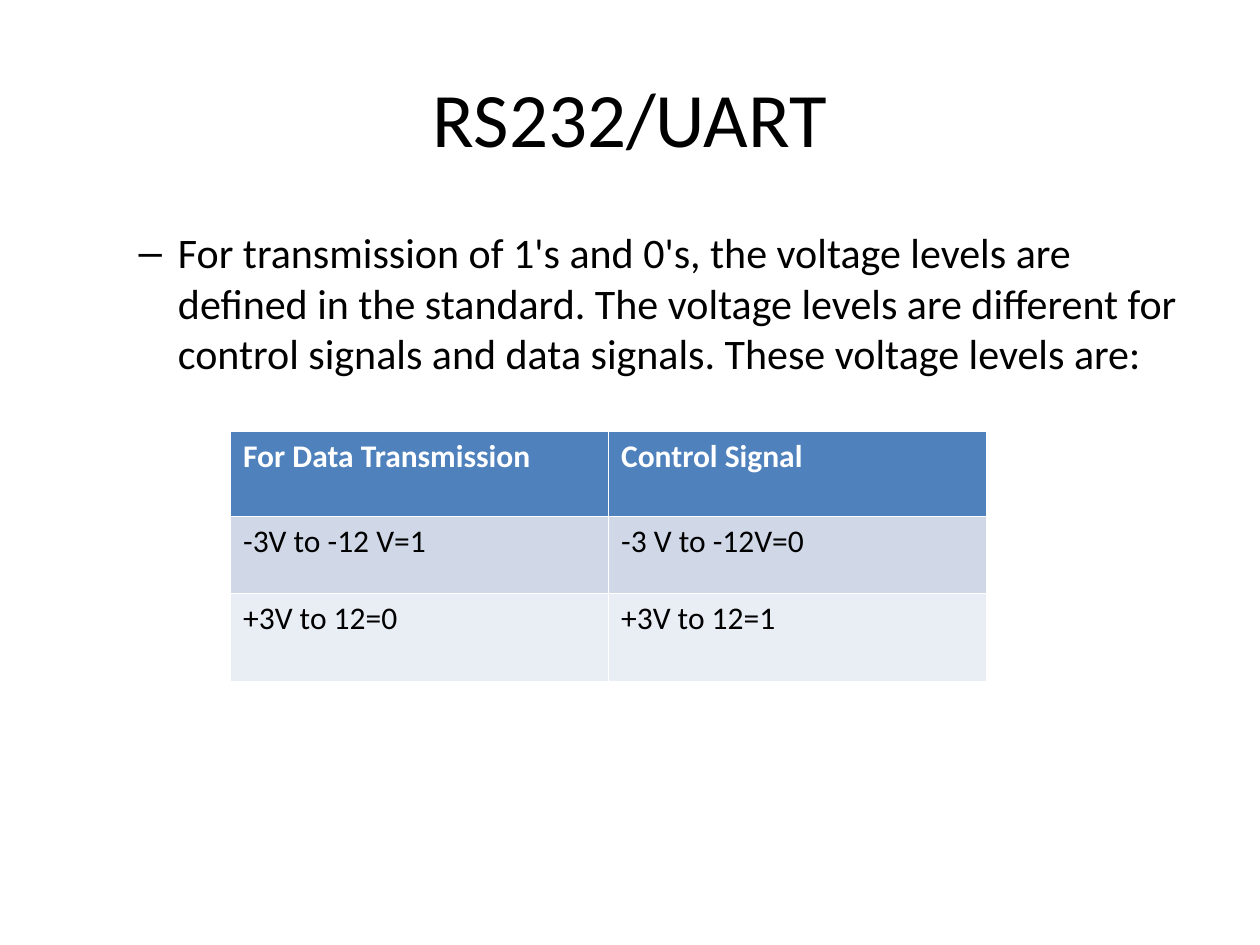
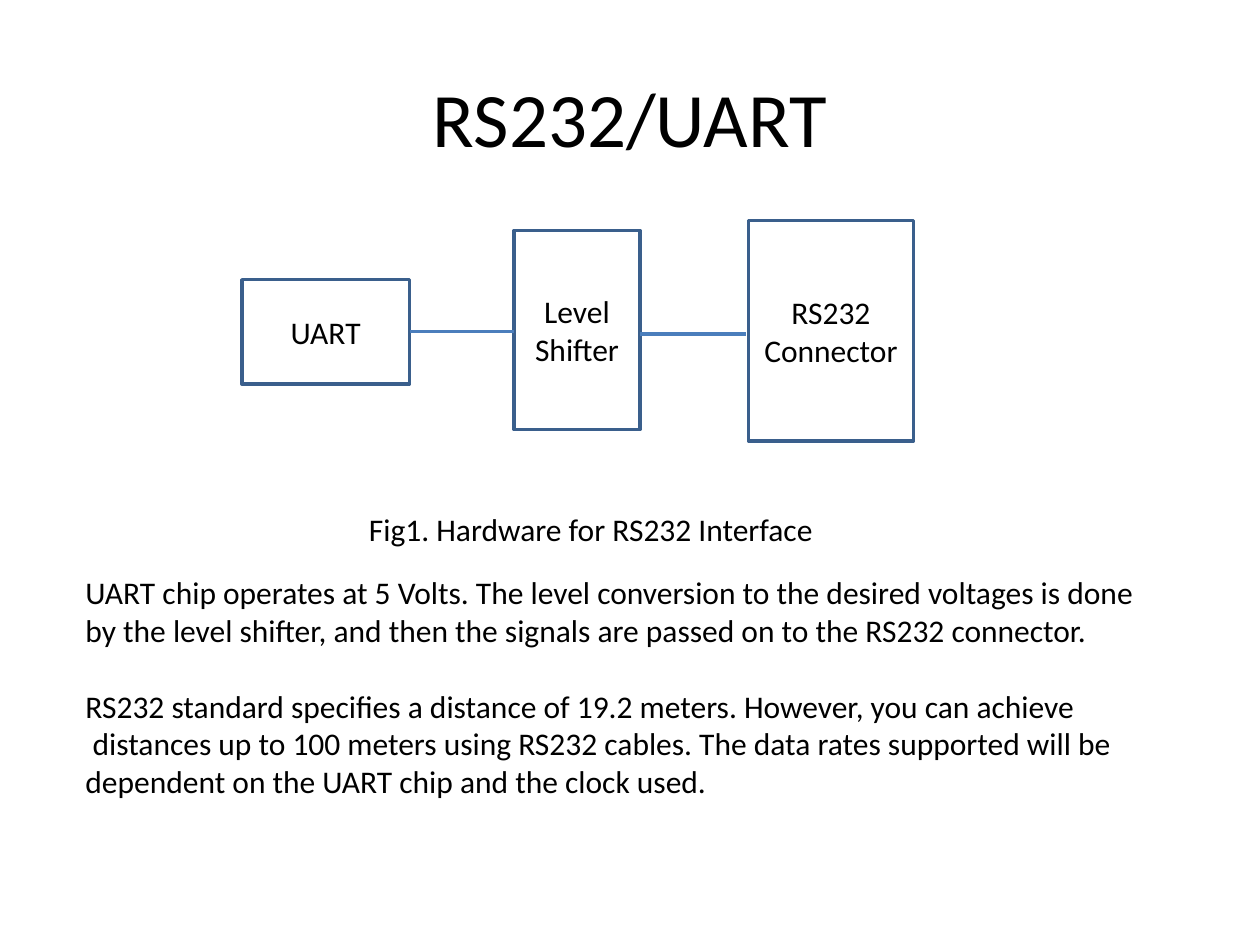
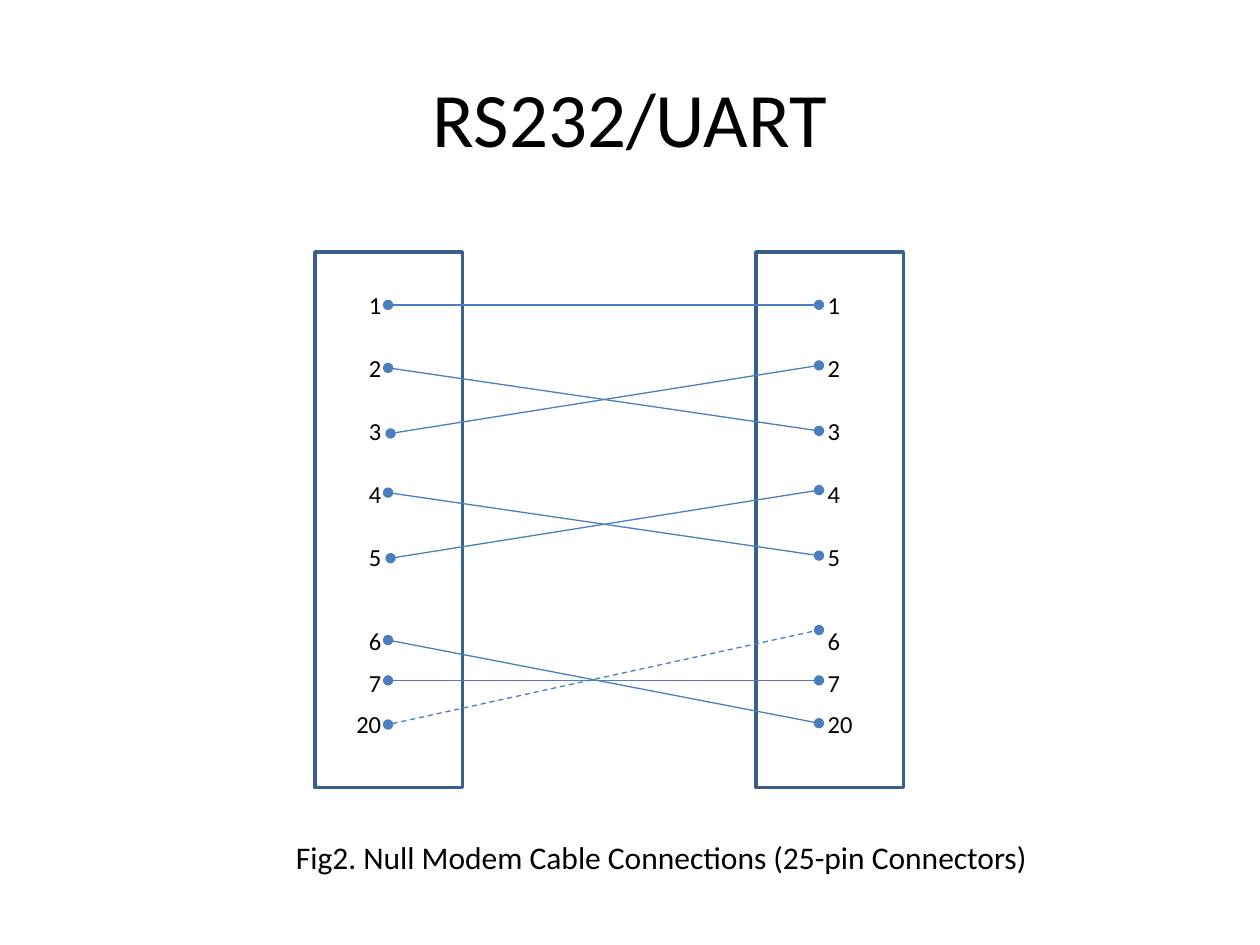
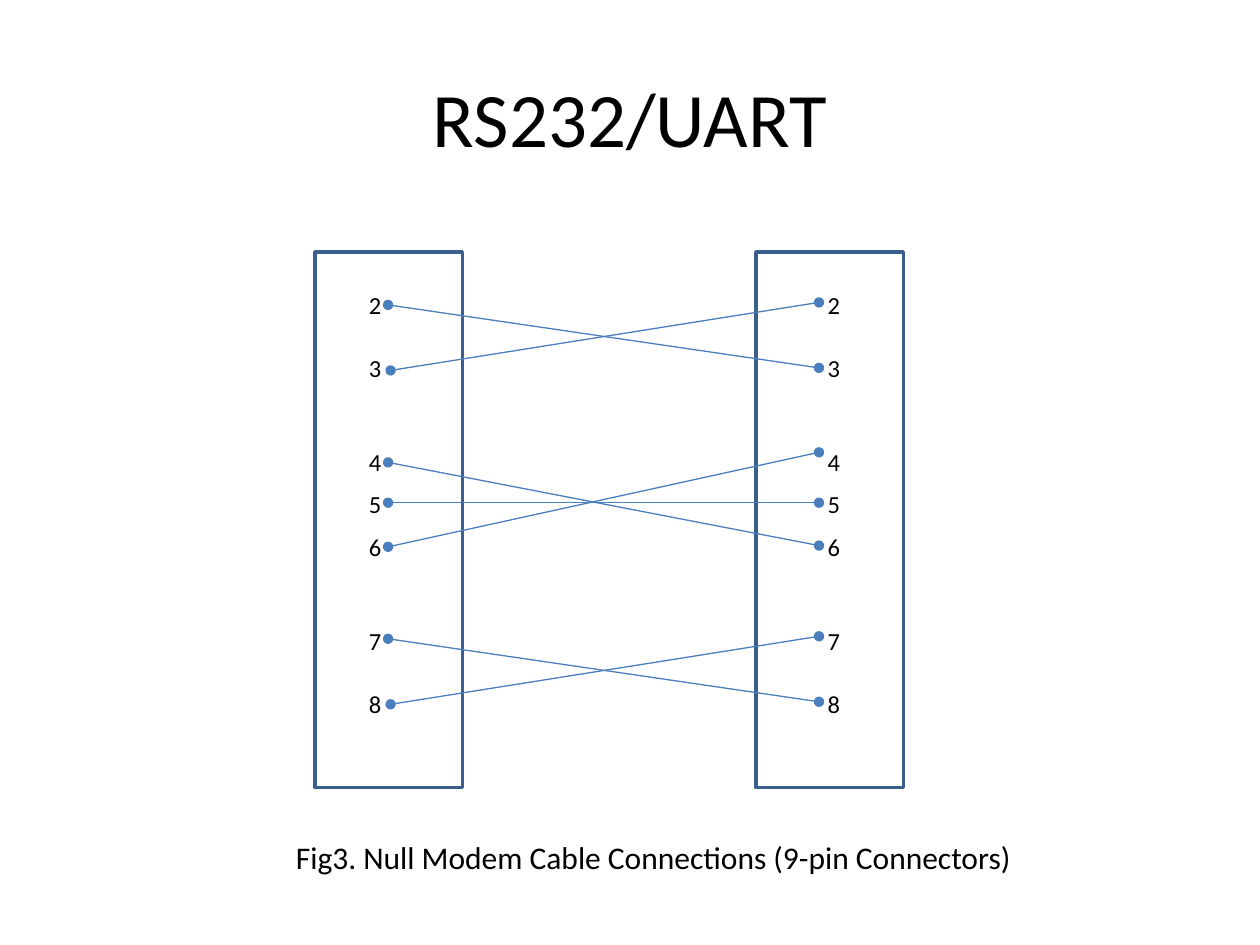
from lxml import etree
from pptx import Presentation
from pptx.dml.color import RGBColor
from pptx.enum import dml, shapes, text
from pptx.oxml.ns import qn
from pptx.util import Inches, Pt

FONT = "Calibri"
BLACK = RGBColor(0x00, 0x00, 0x00)
WHITE = RGBColor(0xFF, 0xFF, 0xFF)
HEADER_BLUE = RGBColor(0x4F, 0x81, 0xBD)
BAND_DARK = RGBColor(0xD0, 0xD8, 0xE8)
BAND_LIGHT = RGBColor(0xE9, 0xED, 0xF4)
OUTLINE_BLUE = RGBColor(0x3A, 0x5F, 0x8C)
WIRE_BLUE = RGBColor(0x4B, 0x7E, 0xBC)


def write(frame, lines, size, color=BLACK, bold=False, align=None):
    """Fill a text frame, one paragraph per line."""
    frame.text = "\n".join(lines)
    for paragraph in frame.paragraphs:
        paragraph.alignment = align
        font = paragraph.font
        font.name, font.size, font.bold = FONT, Pt(size), bold
        font.color.rgb = color


def add_wire(slide, start, end, weight, dots=False, dashed=False):
    """Draw a line between two points, with round ends if wanted."""
    wire = slide.shapes.add_connector(
        shapes.MSO_CONNECTOR.STRAIGHT, *map(Inches, start + end))
    wire.line.color.rgb = WIRE_BLUE
    wire.line.width = Pt(weight)
    if dashed:
        wire.line.dash_style = dml.MSO_LINE.DASH
    properties = wire._element.spPr
    if dots:
        for tag in ("a:headEnd", "a:tailEnd"):
            etree.SubElement(properties.find(qn("a:ln")), qn(tag), type="oval")
    etree.SubElement(properties, qn("a:effectLst"))


prs = Presentation()
prs.slide_width, prs.slide_height = Inches(10), Inches(7.5)
TITLE_AND_CONTENT, TITLE_ONLY = prs.slide_layouts[1], prs.slide_layouts[5]

# Four slides with the same title
levels, hardware, cable_25, cable_9 = [
    prs.slides.add_slide(layout)
    for layout in (TITLE_AND_CONTENT, TITLE_ONLY, TITLE_ONLY, TITLE_ONLY)]
for slide in prs.slides:
    title = slide.shapes.title
    title.left, title.top = Inches(0.5), Inches(0.3)
    title.width, title.height = Inches(9), Inches(1.25)
    write(title.text_frame, ["RS232/UART"], 44, align=text.PP_ALIGN.CENTER)
    title.text_frame.vertical_anchor = text.MSO_ANCHOR.MIDDLE

# Voltage levels: introduction
intro = levels.placeholders[1]
intro.left, intro.top = Inches(0.5), Inches(1.75)
intro.width, intro.height = Inches(9), Inches(4.95)
write(intro.text_frame, [
    "For transmission of 1's and 0's, the voltage levels are defined in the "
    "standard. The voltage levels are different for control signals and data "
    "signals. These voltage levels are:"], 24)
intro.text_frame.paragraphs[0].level = 1

# Voltage levels: table
voltage_rows = [
    (0.68, HEADER_BLUE, ["For Data Transmission", "Control Signal"]),
    (0.61, BAND_DARK, ["-3V to -12 V=1", "-3 V to -12V=0"]),
    (0.7, BAND_LIGHT, ["+3V to 12=0", "+3V to 12=1"]),
]
voltages = levels.shapes.add_table(
    3, 2, Inches(1.83), Inches(3.42), Inches(6), Inches(1.99)).table
for row, (height, fill, values) in zip(voltages.rows, voltage_rows):
    row.height = Inches(height)
    header = fill == HEADER_BLUE
    for cell, value in zip(row.cells, values):
        cell.fill.solid()
        cell.fill.fore_color.rgb = fill
        write(cell.text_frame, [value], 18, WHITE if header else BLACK, header)

# Outlined blocks: hardware chain, and the two connectors of each cable
blocks = [
    (hardware, ["UART"], 1.92, 2.22, 1.33, 0.83),
    (hardware, ["Level", "Shifter"], 4.08, 1.83, 1, 1.58),
    (hardware, ["RS232", "Connector"], 5.94, 1.75, 1.31, 1.75),
]
blocks += [(cable, [], left, 2, 1.17, 4.25)
           for cable in (cable_25, cable_9) for left in (2.5, 6)]
for slide, lines, *box in blocks:
    block = slide.shapes.add_shape(
        shapes.MSO_SHAPE.RECTANGLE, *map(Inches, box))
    block.shadow.inherit = False
    block.fill.background()
    block.line.color.rgb = OUTLINE_BLUE
    block.line.width = Pt(2)
    if lines:
        write(block.text_frame, lines, 18, align=text.PP_ALIGN.CENTER)
        block.text_frame.vertical_anchor = text.MSO_ANCHOR.MIDDLE

add_wire(hardware, (3.25, 2.63), (4.08, 2.63), 2)
add_wire(hardware, (5.08, 2.65), (5.92, 2.65), 2)

# Cable wiring: straight wires, crossed pairs, and groups of three
PAIR = [(3.08, 0, 0.5), (3.1, 0.52, -0.02)]
TRIPLE = [(3.08, 0, 0.66), (3.08, 0.67, -0.08), (3.08, 0.32, 0.32)]
STRAIGHT = [(3.08, 0, 0)]
wiring = [
    (cable_25, [(2.42, STRAIGHT), (2.92, PAIR), (3.91, PAIR), (5.08, TRIPLE)]),
    (cable_9, [(2.42, PAIR), (3.67, TRIPLE), (5.07, PAIR)]),
]
for cable, groups in wiring:
    for top, group in groups:
        for left, drop_from, drop_to in group:
            dashed = cable is cable_25 and drop_from == 0.67
            add_wire(cable, (left, top + drop_from), (6.5, top + drop_to),
                     0.75, dots=True, dashed=dashed)

# Captions, explanation and pin numbers
explanation = [
    "UART chip operates at 5 Volts. The level conversion to the desired "
    "voltages is done",
    "by the level shifter, and then the signals are passed on to the RS232 "
    "connector.",
    "RS232 standard specifies a distance of 19.2 meters. However, you can "
    "achieve",
    " distances up to 100 meters using RS232 cables. The data rates supported "
    "will be",
    "dependent on the UART chip and the clock used.",
]
labels = [
    (hardware, ["Fig1. Hardware for RS232 Interface"], 18, 2.83, 4, 3.74, 0.4),
    (hardware, explanation, 18, 0.58, 4.5, 8.68, 1.92),
    (cable_25, ["Fig2. Null Modem Cable Connections (25-pin Connectors)"],
     18, 2.25, 6.6, 6.08, 0.4),
    (cable_9, ["Fig3. Null Modem Cable Connections (9-pin Connectors)"],
     18, 2.25, 6.6, 6.08, 0.4),
]
pins = [
    (cable_25, {"1": 2.25, "2": 2.75, "3": 3.25, "4": 3.75, "5": 4.25,
                "6": 4.92, "7": 5.25, "20": 5.58}),
    (cable_9, {"2": 2.25, "3": 2.75, "4": 3.5, "5": 3.83, "6": 4.17,
               "7": 4.92, "8": 5.42}),
]
for cable, tops in pins:
    for number, top in tops.items():
        width = 0.2 + 0.1 * len(number)
        for left in (3.13 - width, 6.47):
            labels.append((cable, [number], 14, left, top, width, 0.34))

for slide, lines, size, *box in labels:
    frame = slide.shapes.add_textbox(*map(Inches, box)).text_frame
    write(frame, lines, size)
    frame.word_wrap = False
    frame.auto_size = text.MSO_AUTO_SIZE.SHAPE_TO_FIT_TEXT
    if lines is explanation:
        frame.paragraphs[2].space_before = Pt(21.6)

prs.save("out.pptx")
